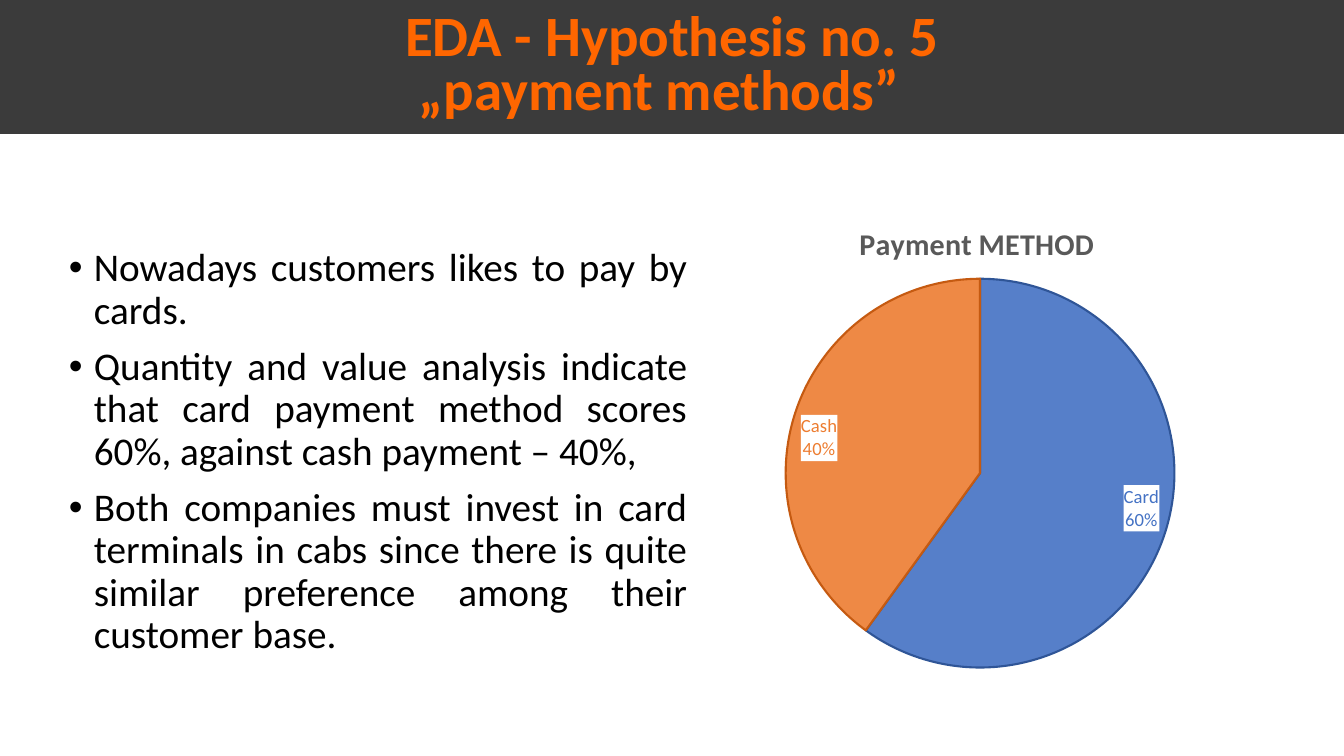
from lxml import etree
from pptx import Presentation
from pptx.chart.data import CategoryChartData
from pptx.dml.color import RGBColor
from pptx.enum.chart import XL_CHART_TYPE as CT, XL_LABEL_POSITION as LP
from pptx.enum.text import MSO_ANCHOR, MSO_AUTO_SIZE, PP_ALIGN
from pptx.oxml import parse_xml
from pptx.oxml.ns import nsdecls, qn
from pptx.util import Pt

PX = 9071  # EMU in one px at 100.8 px to the inch
FONT = "Calibri"
DARK = RGBColor(0x3B, 0x3B, 0x3B)
ORANGE = RGBColor(0xFF, 0x66, 0x00)
BLACK = RGBColor(0, 0, 0)
GRAY = RGBColor(0x59, 0x59, 0x59)
BLUE = RGBColor(0x44, 0x72, 0xC4)
BLUE_EDGE = RGBColor(0x2F, 0x55, 0x97)
AMBER = RGBColor(0xED, 0x7D, 0x31)
AMBER_EDGE = RGBColor(0xC5, 0x5A, 0x11)

TITLE = ["EDA - Hypothesis no. 5", "„payment methods”  "]
FINDINGS = [
    "Nowadays customers likes to pay by cards.",
    "Quantity and value analysis indicate that card payment method scores 60%, "
    "against cash payment – 40%,",
    "Both companies must invest in card terminals in cabs since there is quite "
    "similar preference among their customer base.",
]
METHODS = [("Card", 60, BLUE, BLUE_EDGE), ("Cash", 40, AMBER, AMBER_EDGE)]


def style(font, size, color, bold=False):
    for name, value in dict(name=FONT, size=Pt(size), bold=bold).items():
        setattr(font, name, value)
    font.color.rgb = color


def write(tf, lines, paragraph_format, *font_format):
    """Fill a text frame with one equally formatted paragraph per line."""
    tf.word_wrap = True
    tf.auto_size = MSO_AUTO_SIZE.NONE
    for i, line in enumerate(lines):
        p = tf.add_paragraph() if i else tf.paragraphs[0]
        for name, value in paragraph_format.items():
            setattr(p, name, value)
        r = p.add_run()
        r.text = line
        style(r.font, *font_format)


prs = Presentation()
prs.slide_width, prs.slide_height = 1344 * PX, 756 * PX
s = prs.slides.add_slide(prs.slide_layouts[5])

# Title band
title = s.shapes.title
title.left, title.top, title.width, title.height = 0, 0, 1344 * PX, 134 * PX
title.fill.solid()
title.fill.fore_color.rgb = DARK
title.text_frame.vertical_anchor = MSO_ANCHOR.MIDDLE
write(title.text_frame, TITLE,
      dict(alignment=PP_ALIGN.CENTER, line_spacing=0.8, space_before=Pt(0)),
      40.7, ORANGE, True)

# Findings
findings = s.shapes.add_textbox(59 * PX, 243 * PX, 638 * PX, 462 * PX)
write(findings.text_frame, FINDINGS,
      dict(alignment=PP_ALIGN.JUSTIFY, line_spacing=0.9, space_before=Pt(10)),
      28, BLACK)
for p in findings.text_frame.paragraphs:
    pPr = p._p.get_or_add_pPr()
    pPr.set("marL", str(25 * PX))
    pPr.set("indent", str(-25 * PX))
    etree.SubElement(pPr, qn("a:buFont")).set("typeface", "Arial")
    etree.SubElement(pPr, qn("a:buChar")).set("char", "•")

# Pie chart
data = CategoryChartData()
data.categories = [name for name, *_ in METHODS]
data.add_series("Series 1", [share for _, share, *_ in METHODS])
chart = s.shapes.add_chart(CT.PIE, 667 * PX, 202 * PX, 620 * PX, 480 * PX, data).chart
chart.has_legend = False
style(chart.font, 10, BLACK)
chart.has_title = True
chart.chart_title.include_in_layout = False
r = chart.chart_title.text_frame.paragraphs[0].add_run()
r.text = "Payment METHOD"
style(r.font, 21.5, GRAY, True)

plot_area = chart.plots[0]._element.getparent()
for layout in plot_area.findall(qn("c:layout")):
    plot_area.remove(layout)
plot_area.insert(0, parse_xml(
    f'<c:layout {nsdecls("c")}><c:manualLayout><c:layoutTarget val="inner"/>'
    '<c:xMode val="edge"/><c:yMode val="edge"/><c:x val="0.19"/><c:y val="0.16"/>'
    '<c:w val="0.63"/><c:h val="0.81"/></c:manualLayout></c:layout>'))

for i, (_, _, color, edge) in enumerate(METHODS):
    point = chart.plots[0].series[0].points[i]
    point.format.fill.solid()
    point.format.fill.fore_color.rgb = color
    srgb = point.format._element.spPr.find(".//" + qn("a:srgbClr")) \
        if hasattr(point.format._element, "spPr") else \
        point.format._element.find(".//" + qn("a:srgbClr"))
    etree.SubElement(srgb, qn("a:alpha")).set("val", "90000")
    point.format.line.color.rgb = edge
    point.format.line.width = Pt(1.5)

    label = point.data_label
    style(label.font, 13.3, color)
    label.position = LP.INSIDE_END
    dLbl = label._dLbl
    dLbl.find(qn("c:txPr")).addprevious(parse_xml(
        f'<c:spPr {nsdecls("c", "a")}><a:solidFill><a:srgbClr val="FFFFFF"/>'
        '</a:solidFill></c:spPr>'))
    for tag, shown in dict(showVal=0, showCatName=1, showPercent=1).items():
        dLbl.find(qn("c:" + tag)).set("val", str(shown))
    etree.SubElement(dLbl, qn("c:separator")).text = "\n"

prs.save("out.pptx")
